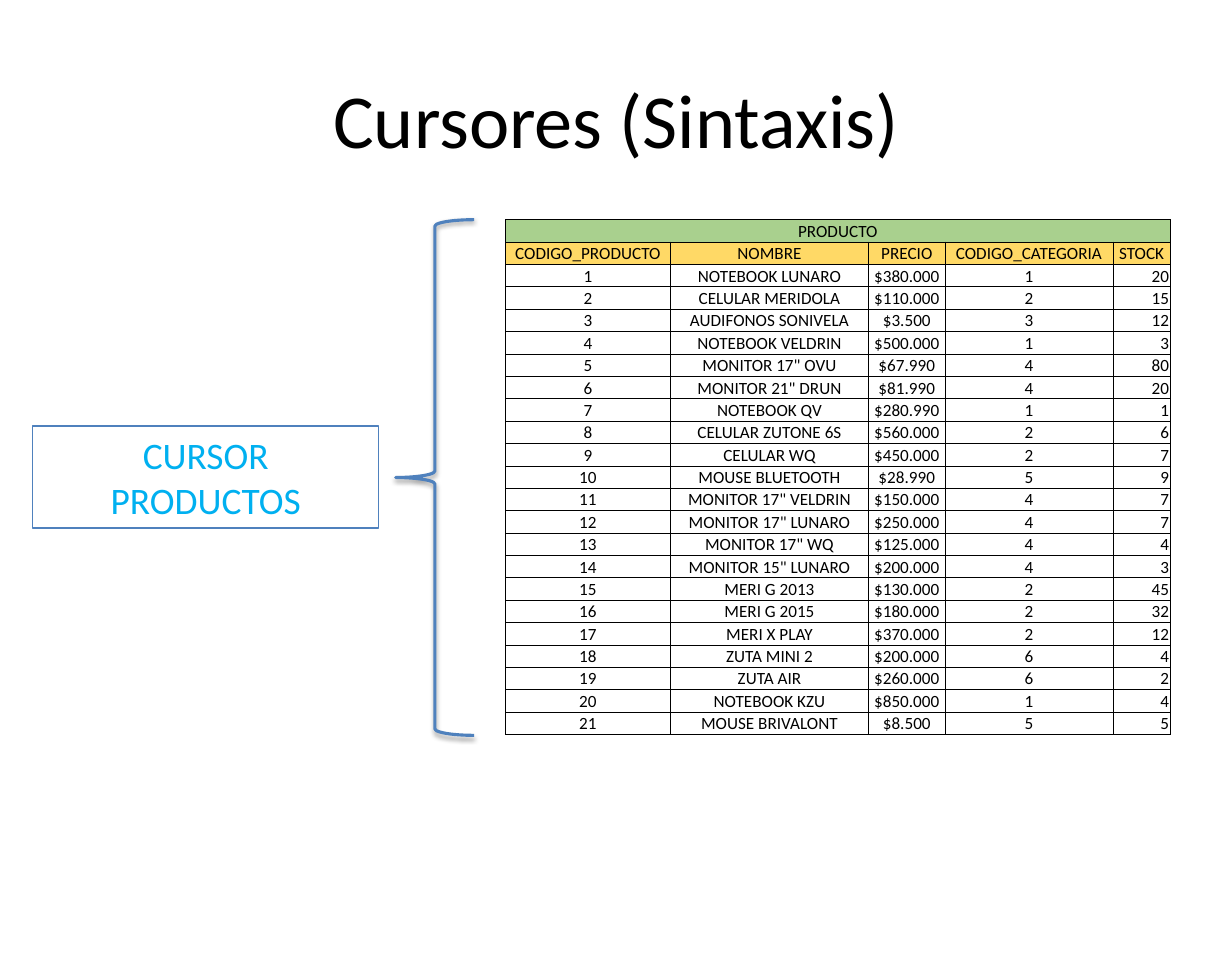
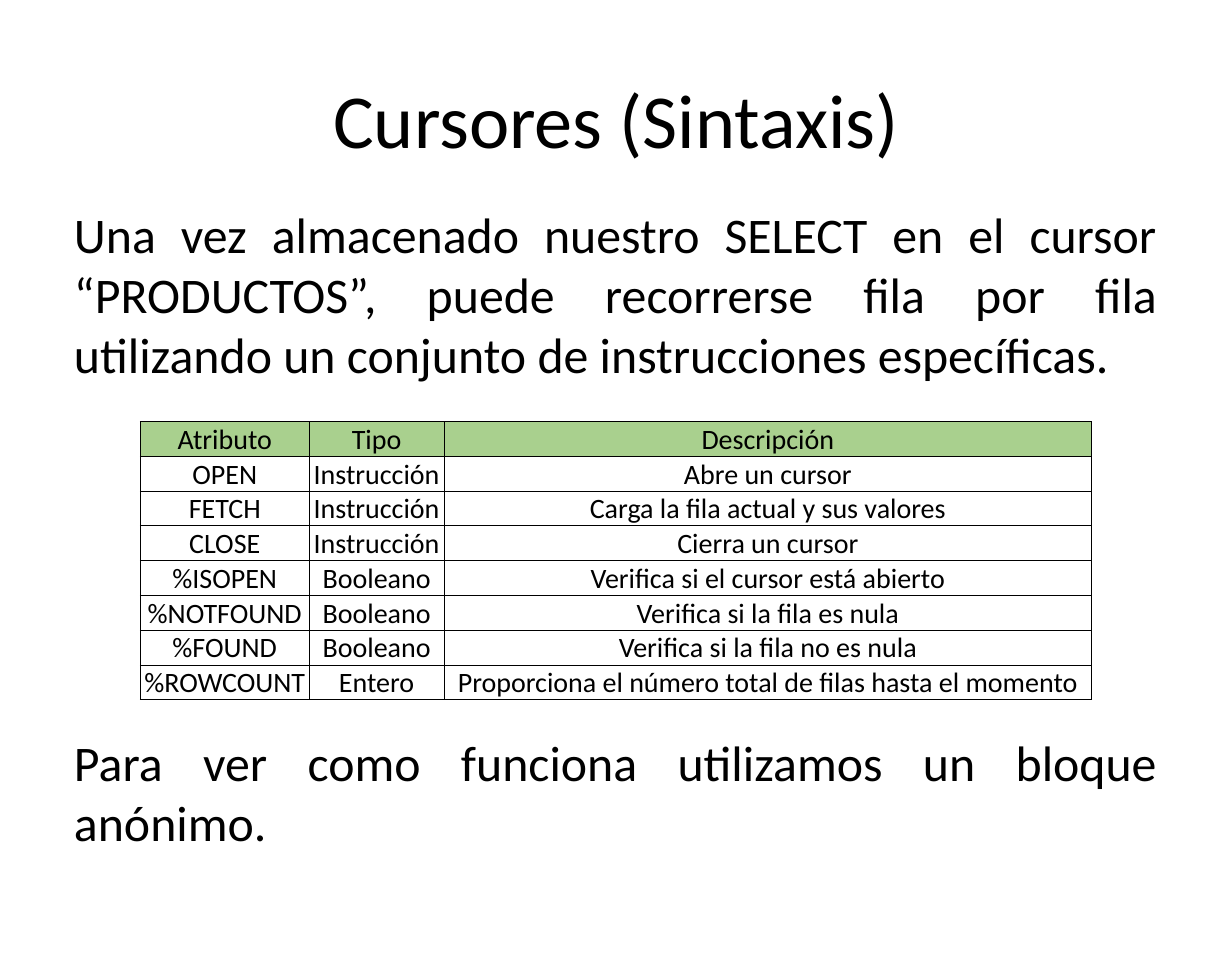
from lxml.etree import SubElement
from pptx import Presentation
from pptx.dml.color import RGBColor
from pptx.enum.shapes import MSO_SHAPE
from pptx.enum.text import MSO_ANCHOR, PP_ALIGN
from pptx.oxml import parse_xml
from pptx.oxml.ns import nsdecls, qn
from pptx.util import Inches, Pt

COLORS = {
    "text": "000000",
    "border": "000000",
    "green": "A9D08E",
    "yellow": "FFD966",
    "blue": "4F81BD",
    "cyan": "00B0F0",
}
FONT = "Calibri"
TITLE = "Cursores (Sintaxis)"
MARGIN, CONTENT_WIDTH = 0.55, 9.89
TABLE_TOP, TABLE_HEIGHT = 1.96, 4.6

PRODUCT_ROWS = [
    ("PRODUCTO", "", "", "", ""),
    ("CODIGO_PRODUCTO", "NOMBRE", "PRECIO", "CODIGO_CATEGORIA", "STOCK"),
    ("1", "NOTEBOOK LUNARO", "$380.000", "1", "20"),
    ("2", "CELULAR MERIDOLA", "$110.000", "2", "15"),
    ("3", "AUDIFONOS SONIVELA", "$3.500", "3", "12"),
    ("4", "NOTEBOOK VELDRIN", "$500.000", "1", "3"),
    ("5", 'MONITOR 17" OVU', "$67.990", "4", "80"),
    ("6", 'MONITOR 21" DRUN', "$81.990", "4", "20"),
    ("7", "NOTEBOOK QV", "$280.990", "1", "1"),
    ("8", "CELULAR ZUTONE 6S", "$560.000", "2", "6"),
    ("9", "CELULAR WQ", "$450.000", "2", "7"),
    ("10", "MOUSE BLUETOOTH", "$28.990", "5", "9"),
    ("11", 'MONITOR 17" VELDRIN', "$150.000", "4", "7"),
    ("12", 'MONITOR 17" LUNARO', "$250.000", "4", "7"),
    ("13", 'MONITOR 17" WQ', "$125.000", "4", "4"),
    ("14", 'MONITOR 15" LUNARO', "$200.000", "4", "3"),
    ("15", "MERI G 2013", "$130.000", "2", "45"),
    ("16", "MERI G 2015", "$180.000", "2", "32"),
    ("17", "MERI X PLAY", "$370.000", "2", "12"),
    ("18", "ZUTA MINI 2", "$200.000", "6", "4"),
    ("19", "ZUTA AIR", "$260.000", "6", "2"),
    ("20", "NOTEBOOK KZU", "$850.000", "1", "4"),
    ("21", "MOUSE BRIVALONT", "$8.500", "5", "5"),
]
PRODUCT_WIDTHS = [1.47, 1.77, 0.68, 1.5, 0.51]

ATTRIBUTE_ROWS = [
    ("Atributo", "Tipo", "Descripción"),
    ("OPEN", "Instrucción", "Abre un cursor"),
    ("FETCH", "Instrucción", "Carga la fila actual y sus valores"),
    ("CLOSE", "Instrucción", "Cierra un cursor"),
    ("%ISOPEN", "Booleano", "Verifica si el cursor está abierto"),
    ("%NOTFOUND", "Booleano", "Verifica si la fila es nula"),
    ("%FOUND", "Booleano", "Verifica si la fila no es nula"),
    ("%ROWCOUNT", "Entero", "Proporciona el número total de filas hasta el momento"),
]
ATTRIBUTE_WIDTHS = [1.51, 1.2, 5.78]

BODY_TEXTS = [
    (1.76, 1.8, "Una vez almacenado nuestro SELECT en el cursor “PRODUCTOS”, "
     "puede recorrerse fila por fila utilizando un conjunto de instrucciones específicas."),
    (6.47, 1.25, "Para ver como funciona utilizamos un bloque anónimo."),
]


def color(name):
    return RGBColor.from_string(COLORS[name])


def write(text_frame, text, size, alignment=PP_ALIGN.CENTER, color_name="text"):
    text_frame.text = text
    for paragraph in text_frame.paragraphs:
        paragraph.alignment = alignment
        for run in paragraph.runs:
            run.font.name = FONT
            run.font.size = Pt(size)
            run.font.color.rgb = color(color_name)


def add_text(slide, top, height, text, size, alignment, anchor):
    box = slide.shapes.add_textbox(
        Inches(MARGIN), Inches(top), Inches(CONTENT_WIDTH), Inches(height))
    text_frame = box.text_frame
    text_frame.word_wrap = True
    text_frame.vertical_anchor = anchor
    text_frame.margin_left = text_frame.margin_right = Inches(0.11)
    text_frame.margin_top = text_frame.margin_bottom = Inches(0.06)
    write(text_frame, text, size, alignment)


def add_titled_slide(presentation):
    slide = presentation.slides.add_slide(presentation.slide_layouts[6])
    add_text(slide, 0.34, 1.42, TITLE, 49, PP_ALIGN.CENTER, MSO_ANCHOR.MIDDLE)
    return slide


def add_borders(cell):
    properties = cell._tc.get_or_add_tcPr()
    for position, side in enumerate(("lnL", "lnR", "lnT", "lnB")):
        properties.insert(position, parse_xml(
            f'<a:{side} {nsdecls("a")} w="{Pt(0.5)}"><a:solidFill>'
            f'<a:srgbClr val="{COLORS["border"]}"/></a:solidFill></a:{side}>'))


def add_grid(slide, left, top, height, widths, rows, size, header_fills, right_column=None):
    table = slide.shapes.add_table(
        len(rows), len(widths), Inches(left), Inches(top),
        Inches(sum(widths)), Inches(height)).table
    table.first_row = table.horz_banding = False
    for column, width in zip(table.columns, widths):
        column.width = Inches(width)
    for row_index, values in enumerate(rows):
        table.rows[row_index].height = Inches(height / len(rows))
        is_header = row_index < len(header_fills)
        for column_index, value in enumerate(values):
            cell = table.cell(row_index, column_index)
            cell.margin_left = cell.margin_right = cell.margin_top = Inches(0.01)
            cell.margin_bottom = 0
            cell.vertical_anchor = MSO_ANCHOR.BOTTOM
            at_right = column_index == right_column and not is_header
            write(cell.text_frame, value, size,
                  PP_ALIGN.RIGHT if at_right else PP_ALIGN.CENTER)
            if is_header:
                cell.fill.solid()
                cell.fill.fore_color.rgb = color(header_fills[row_index])
            else:
                cell.fill.background()
            add_borders(cell)
    return table


def add_outline(slide, kind, left, top, width, height, line_width):
    shape = slide.shapes.add_shape(
        kind, Inches(left), Inches(top), Inches(width), Inches(height))
    shape.shadow.inherit = False
    shape.fill.background()
    shape.line.color.rgb = color("blue")
    shape.line.width = Pt(line_width)
    return shape


def add_shadow(shape):
    effects = shape._element.spPr.find(qn("a:effectLst"))
    shadow = SubElement(effects, qn("a:outerShdw"), blurRad=str(Pt(3.1)),
                        dist=str(Pt(1.6)), dir="5400000", rotWithShape="0")
    shade = SubElement(shadow, qn("a:srgbClr"), val="000000")
    SubElement(shade, qn("a:alpha"), val="38000")


def build_cursor_slide(presentation):
    slide = add_titled_slide(presentation)
    table = add_grid(slide, 4.51, TABLE_TOP, TABLE_HEIGHT, PRODUCT_WIDTHS, PRODUCT_ROWS,
                     11, ["green", "yellow"], right_column=4)
    table.cell(0, 0).merge(table.cell(0, len(PRODUCT_WIDTHS) - 1))
    label = add_outline(slide, MSO_SHAPE.RECTANGLE, 0.29, 3.8, 3.09, 0.91, 0.75)
    write(label.text_frame, "CURSOR\nPRODUCTOS", 24, color_name="cyan")
    brace = add_outline(slide, MSO_SHAPE.LEFT_BRACE, 3.53, TABLE_TOP, 0.7, TABLE_HEIGHT, 2)
    add_shadow(brace)


def build_attribute_slide(presentation):
    slide = add_titled_slide(presentation)
    for top, height, text in BODY_TEXTS:
        add_text(slide, top, height, text, 32, PP_ALIGN.JUSTIFY, MSO_ANCHOR.TOP)
    add_grid(slide, 1.25, 3.76, 2.47, ATTRIBUTE_WIDTHS, ATTRIBUTE_ROWS, 18, ["green"])


def main():
    presentation = Presentation()
    presentation.slide_width = Inches(10.99)
    presentation.slide_height = Inches(8.51)
    build_cursor_slide(presentation)
    build_attribute_slide(presentation)
    presentation.save("out.pptx")


if __name__ == "__main__":
    main()
